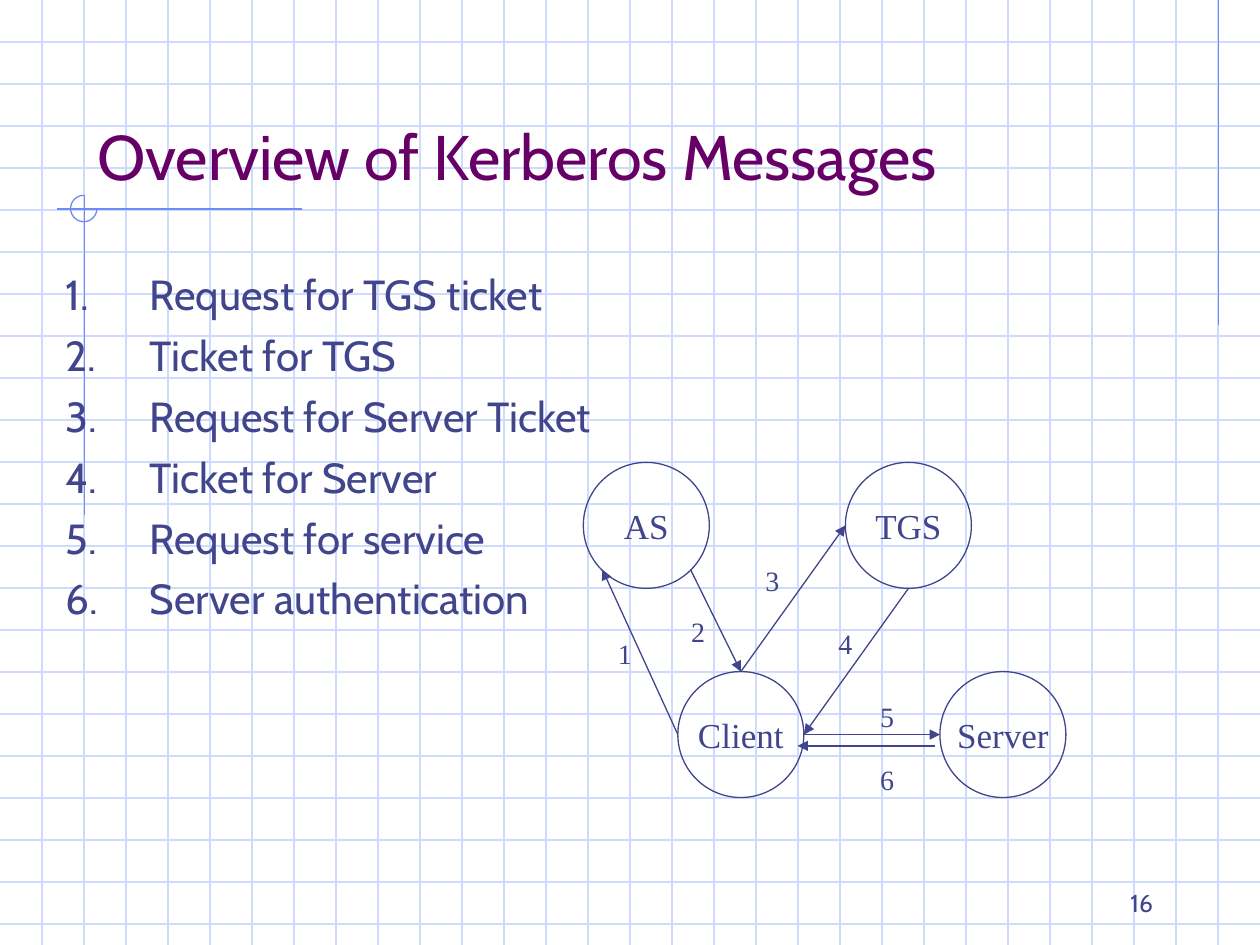
from lxml import etree
from pptx import Presentation
from pptx.dml.color import RGBColor
from pptx.enum.shapes import MSO_CONNECTOR, MSO_SHAPE
from pptx.enum.text import MSO_ANCHOR, MSO_AUTO_SIZE, PP_ALIGN
from pptx.oxml.ns import qn
from pptx.util import Inches, Pt

STRAIGHT = MSO_CONNECTOR.STRAIGHT
ELLIPSE, ARC = MSO_SHAPE.OVAL, MSO_SHAPE.ARC
TOP, MIDDLE, BOTTOM = MSO_ANCHOR.TOP, MSO_ANCHOR.MIDDLE, MSO_ANCHOR.BOTTOM
LEFT, CENTER, RIGHT = PP_ALIGN.LEFT, PP_ALIGN.CENTER, PP_ALIGN.RIGHT
NO_FIT = MSO_AUTO_SIZE.NONE

COLORS = {"grid": "CFDBFD", "accent": "6F89F7", "title": "660066", "ink": "40458C"}
SANS, SERIF = "Cabin", "Times New Roman"
WIDTH, HEIGHT = 10, 7.5
GRID_STEPS_PER_INCH = 3
DIAMETER = 1
RADIUS = DIAMETER / 2
DIAGONAL = 0.35  # offset of a 45-degree point on a circle
HANGING = 0.67
TOP_SITE = 0

MESSAGES = ["Request for TGS ticket", "Ticket for TGS", "Request for Server Ticket",
            "Ticket for Server", "Request for service", "Server authentication"]
# Circle centres
PARTIES = {"AS": (5.13, 4.17), "Server": (7.96, 5.83),
           "TGS": (7.21, 4.17), "Client": (5.88, 5.83)}
STEP_LABELS = {"1": (4.75, 5), "2": (5.33, 4.83), "3": (5.92, 4.42),
               "4": (6.5, 4.92), "5": (6.83, 5.5), "6": (6.83, 6)}


def color(name):
    return RGBColor.from_string(COLORS[name])


def apply_format(target, values):
    for name, value in values.items():
        setattr(target, name, value)


def format_font(para, face, size, tint="ink"):
    apply_format(para.font, {"name": face, "size": Pt(size)})
    para.font.color.rgb = color(tint)


def format_frame(box, anchor, wrap=True):
    apply_format(box.text_frame, {"word_wrap": wrap, "auto_size": NO_FIT,
                                  "vertical_anchor": anchor})


def place(shape, left, top, width, height):
    apply_format(shape, {"left": Inches(left), "top": Inches(top),
                         "width": Inches(width), "height": Inches(height)})


def add_line(page, start, end, tint, arrow=False):
    line = page.shapes.add_connector(STRAIGHT, *map(Inches, (*start, *end)))
    line.line.color.rgb = color(tint)
    line.line.width = Pt(0.75)
    if arrow:
        etree.SubElement(line.line._get_or_add_ln(), qn("a:tailEnd"), type="triangle")
    etree.SubElement(line._element.spPr, qn("a:effectLst"))
    return line


def add_outline(page, kind, left, top, size, tint):
    shape = page.shapes.add_shape(kind, *map(Inches, (left, top, size, size)))
    shape.shadow.inherit = False
    shape.fill.background()
    shape.line.color.rgb = color(tint)
    shape.line.width = Pt(0.75)
    return shape


def add_label(page, text, area, face, size, align, anchor=TOP):
    box = page.shapes.add_textbox(*map(Inches, area))
    format_frame(box, anchor)
    para = box.text_frame.paragraphs[0]
    para.text = text
    para.alignment = align
    format_font(para, face, size)


def add_background(page):
    # Graph paper
    for step in range(1, int(HEIGHT * GRID_STEPS_PER_INCH) + 1):
        y = step / GRID_STEPS_PER_INCH
        add_line(page, (0, y), (WIDTH, y), "grid")
    for step in range(1, WIDTH * GRID_STEPS_PER_INCH):
        x = step / GRID_STEPS_PER_INCH
        add_line(page, (x, 0), (x, HEIGHT), "grid")
    # Accent lines and three-quarter ring
    add_line(page, (9.67, 0), (9.67, 2.58), "accent")
    add_line(page, (2.4, 1.66), (0.45, 1.66), "accent")
    add_line(page, (0.67, 1.55), (0.67, 4.09), "accent")
    ring = add_outline(page, ARC, 0.56, 1.55, 0.21, "accent")
    ring.adjustments[0] = 0
    ring.adjustments[1] = 162


def fill_title(page, text):
    title = page.shapes.title
    place(title, 0.67, 0.33, 8.5, 1.25)
    format_frame(title, BOTTOM)
    para = title.text_frame.paragraphs[0]
    para.text = text
    para.alignment = LEFT
    format_font(para, SANS, 36, "title")
    return title


def fill_list(page, items):
    body = page.placeholders[1]
    place(body, 0.42, 2.08, 9, 4.5)
    format_frame(body, TOP)
    frame = body.text_frame
    for number, item in enumerate(items, 1):
        para = frame.paragraphs[0] if number == 1 else frame.add_paragraph()
        para.text = f"{number}.\t{item}"
        properties = para._p.get_or_add_pPr()
        properties.set("marL", str(Inches(HANGING)))
        properties.set("indent", str(-Inches(HANGING)))
        etree.SubElement(properties, qn("a:buNone"))
        para.space_before = Pt(0 if number == 1 else 6)
        format_font(para, SANS, 24)
    return body


def add_party(page, name, center):
    x, y = center
    circle = add_outline(page, ELLIPSE, x - RADIUS, y - RADIUS, DIAMETER, "ink")
    format_frame(circle, MIDDLE, wrap=False)
    apply_format(circle.text_frame, dict.fromkeys(
        ("margin_left", "margin_right", "margin_top", "margin_bottom"), 0))
    para = circle.text_frame.paragraphs[0]
    para.text = name
    para.alignment = CENTER
    format_font(para, SERIF, 20)
    return circle


def add_exchange(page):
    circles = {name: add_party(page, name, center) for name, center in PARTIES.items()}

    def point(name, dx, dy):
        x, y = PARTIES[name]
        return x + dx, y + dy

    client_left = point("Client", -RADIUS, 0)
    client_top = point("Client", 0, -RADIUS)
    client_right = point("Client", RADIUS, 0)
    # Message arrows, in order
    add_line(page, client_left, point("AS", -DIAGONAL, DIAGONAL), "ink", True)
    reply = add_line(page, point("AS", DIAGONAL, DIAGONAL), client_top, "ink", True)
    reply.end_connect(circles["Client"], TOP_SITE)
    request = add_line(page, client_top, point("TGS", -RADIUS, 0), "ink", True)
    request.begin_connect(circles["Client"], TOP_SITE)
    add_line(page, point("TGS", 0, RADIUS), client_right, "ink", True)
    add_line(page, client_right, point("Server", -RADIUS, 0), "ink", True)
    add_line(page, (7.42, 5.92), (6.33, 5.92), "ink", True)
    # Step numbers
    for number, (left, top) in STEP_LABELS.items():
        add_label(page, number, (left, top, 0.42, 0.37), SERIF, 16, CENTER)


def main():
    deck = Presentation()
    deck.slide_width, deck.slide_height = Inches(WIDTH), Inches(HEIGHT)
    page = deck.slides.add_slide(deck.slide_layouts[1])
    page.background.fill.solid()
    page.background.fill.fore_color.rgb = RGBColor.from_string("FFFFFF")
    add_background(page)
    # Bring the placeholders in front of the graph paper
    for holder in (fill_title(page, "Overview of Kerberos Messages"),
                   fill_list(page, MESSAGES)):
        page.shapes._spTree.append(holder._element)
    add_exchange(page)
    # Page number
    add_label(page, "16", (7.17, 6.83, 2.08, 0.5), SANS, 14, RIGHT, BOTTOM)
    deck.save("out.pptx")


if __name__ == "__main__":
    main()
